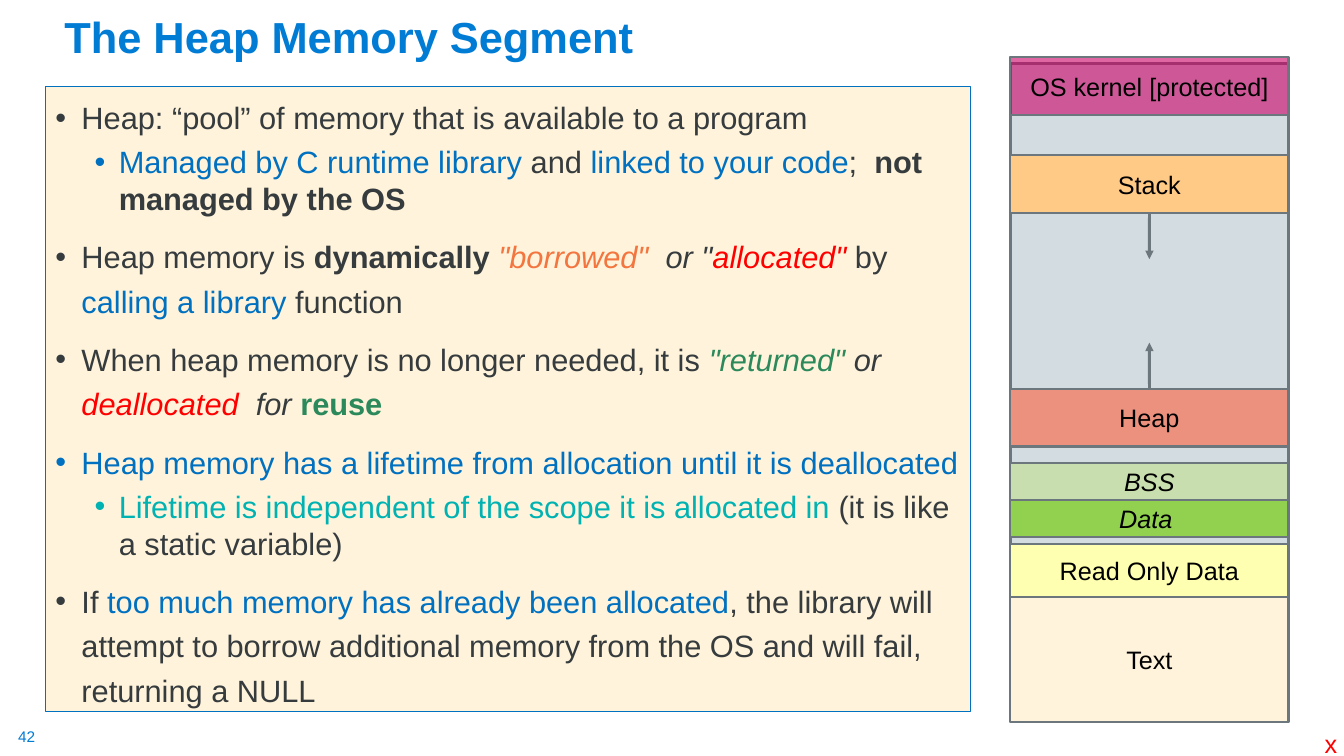
"""Build the slide on the heap memory segment and its memory map."""
from lxml import etree
from pptx import Presentation
from pptx.dml.color import RGBColor
from pptx.enum.shapes import MSO_CONNECTOR as Connector, MSO_SHAPE as Preset
from pptx.enum.text import MSO_ANCHOR as Anchor, PP_ALIGN as Align
from pptx.oxml.ns import qn
from pptx.util import Inches, Pt

COLORS = {
    "title": "007CD5", "body": "363B3E", "blue": "0070C0", "red": "FF0000",
    "orange": "F3753F", "green": "2C895B", "teal": "00B2B1", "black": "000000",
    "cream": "FFF4DB", "outline": "6B767D", "memory": "D3DCE1",
    "kernel": "CC0066", "stack": "FFCA86", "heap": "ED917F", "bss": "C9DEAE",
    "data": "92D050", "read_only": "FFFFB2",
}

TITLE = "The Heap Memory Segment"
PAGE_NUMBER = "42"
CORNER_MARK = "x"

# level, then runs of text, colour and style letters
BULLETS = [
    (0, [("Heap: “pool” of memory that is available to a program", "body", "")]),
    (1, [("Managed by C runtime library ", "blue", ""), ("and ", "body", ""),
         ("linked to your code", "blue", ""), ("; ", "body", ""),
         (" not managed by the OS", "body", "b")]),
    (0, [("Heap memory is ", "body", ""), ("dynamically ", "body", "b"),
         ('"borrowed"', "orange", "i"), ('  or "', "body", "i"),
         ('allocated" ', "red", "i"), ("by ", "body", ""),
         ("calling a library ", "blue", ""), ("function", "body", "")]),
    (0, [("When heap memory is no longer needed, it is ", "body", ""),
         ('"returned" ', "green", "i"), ("or ", "body", "i"),
         ("deallocated", "red", "i"), ("  for ", "body", "i"),
         ("reuse", "green", "b")]),
    (0, [("Heap memory has a lifetime from allocation until it is deallocated",
          "blue", "")]),
    (1, [("Lifetime is independent of the scope it is allocated in ", "teal", ""),
         ("(it is like a static variable)", "body", "")]),
    (0, [("If ", "body", ""),
         ("too much memory has already been allocated", "blue", ""),
         (", the library will attempt to borrow additional memory from the OS "
          "and will fail, returning a NULL", "body", "")]),
]
LEVELS = [
    {"indent": 0.26, "hang": 0.26, "before": 10, "spacing": 1.2},
    {"indent": 0.63, "hang": 0.24, "before": 5, "spacing": 1.0},
]

# label, top, height, fill, style letters
SEGMENTS = [
    ("OS kernel [protected]", 0.57, 0.57, "kernel", ""),
    ("Stack", 1.54, 0.57, "stack", ""),
    ("Heap", 3.86, 0.57, "heap", ""),
    ("BSS", 4.59, 0.37, "bss", "i"),
    ("Data ", 4.96, 0.37, "data", "i"),
    ("Read Only Data", 5.4, 0.52, "read_only", ""),
    ("Text", 5.92, 1.24, "cream", ""),
]
MAP_LEFT, MAP_WIDTH, MAP_TOP, MAP_HEIGHT = 10.02, 2.76, 0.63, 6.53
KERNEL_ALPHA = 60
# segment, connection site, y of the arrow's tip
GROWTH = [("Stack", 2, 2.57), ("Heap", 0, 3.4)]


def color(name):
    return RGBColor.from_string(COLORS[name])


def write(paragraph, text, *, size, tint="black", style=""):
    run = paragraph.add_run()
    run.text = text
    font = run.font
    font.name, font.size = "Arial", Pt(size)
    font.bold, font.italic = "b" in style, "i" in style
    font.color.rgb = color(tint)


def add_box(slide, left, top, width, height, fill, line, weight):
    box = slide.shapes.add_shape(
        Preset.RECTANGLE, *map(Inches, (left, top, width, height)))
    box.shadow.inherit = False
    box.fill.solid()
    box.fill.fore_color.rgb = color(fill)
    box.line.color.rgb = color(line)
    box.line.width = Pt(weight)
    return box


def add_label(slide, left, top, width, height, text, wrap=False, inset=0.1, **style):
    label = slide.shapes.add_textbox(*map(Inches, (left, top, width, height)))
    frame = label.text_frame
    frame.word_wrap = wrap
    frame.margin_left = frame.margin_right = Inches(inset)
    frame.margin_top = frame.margin_bottom = Inches(inset / 2)
    write(frame.paragraphs[0], text, **style)
    return frame


def add_bullets(slide):
    box = add_box(slide, 0.45, 0.86, 9.18, 6.2, "cream", "blue", 0.75)
    frame = box.text_frame
    frame.word_wrap = True
    frame.vertical_anchor = Anchor.TOP
    for index, (level, runs) in enumerate(BULLETS):
        paragraph = frame.add_paragraph() if index else frame.paragraphs[0]
        layout = LEVELS[level]
        paragraph.alignment = Align.LEFT
        paragraph.level = level
        paragraph.line_spacing = layout["spacing"]
        paragraph.space_before = Pt(layout["before"])
        properties = paragraph._p.get_or_add_pPr()
        properties.set("marL", str(Inches(layout["indent"])))
        properties.set("indent", str(-Inches(layout["hang"])))
        etree.SubElement(properties, qn("a:buFont")).set("typeface", "Arial")
        etree.SubElement(properties, qn("a:buChar")).set("char", "•")
        for text, tint, style in runs:
            write(paragraph, text, size=22, tint=tint, style=style)


def add_memory_map(slide):
    add_box(slide, MAP_LEFT, MAP_TOP, MAP_WIDTH, MAP_HEIGHT, "memory", "outline", 2)
    segments = {}
    for label, top, height, fill, style in SEGMENTS:
        segment = add_box(slide, MAP_LEFT, top, MAP_WIDTH, height, fill, "outline", 1.5)
        frame = segment.text_frame
        frame.word_wrap = True
        frame.vertical_anchor = Anchor.MIDDLE
        frame.paragraphs[0].alignment = Align.CENTER
        write(frame.paragraphs[0], label, size=18, style=style)
        segments[label] = segment
        if fill == "kernel":
            tint = segment._element.spPr.find(qn("a:solidFill"))[0]
            etree.SubElement(tint, qn("a:alpha")).set("val", str(KERNEL_ALPHA * 1000))
    middle = Inches(MAP_LEFT + MAP_WIDTH / 2)
    for label, site, tip in GROWTH:
        arrow = slide.shapes.add_connector(
            Connector.STRAIGHT, middle, Inches(tip), middle, Inches(tip))
        arrow.begin_connect(segments[label], site)
        arrow.line.color.rgb = color("outline")
        arrow.line.width = Pt(2)
        etree.SubElement(arrow.line._get_or_add_ln(), qn("a:tailEnd")).set("type", "triangle")
        etree.SubElement(arrow._element.spPr, qn("a:effectLst"))


def main():
    deck = Presentation()
    deck.slide_width, deck.slide_height = Inches(13.33), Inches(7.5)
    slide = deck.slides.add_slide(deck.slide_layouts[6])
    add_label(slide, 0.18, 7.21, 0.19, 0.19, PAGE_NUMBER, inset=0, size=11, tint="title")
    add_bullets(slide)
    heading = add_label(slide, 0.54, 0.09, 7.72, 0.58, TITLE, wrap=True,
                        size=31, tint="title", style="b")
    heading.vertical_anchor = Anchor.BOTTOM
    heading.paragraphs[0].line_spacing = 0.9
    add_label(slide, 13.04, 7.18, 0.33, 0.4, CORNER_MARK, size=18, tint="red")
    add_memory_map(slide)
    deck.save("out.pptx")


if __name__ == "__main__":
    main()
